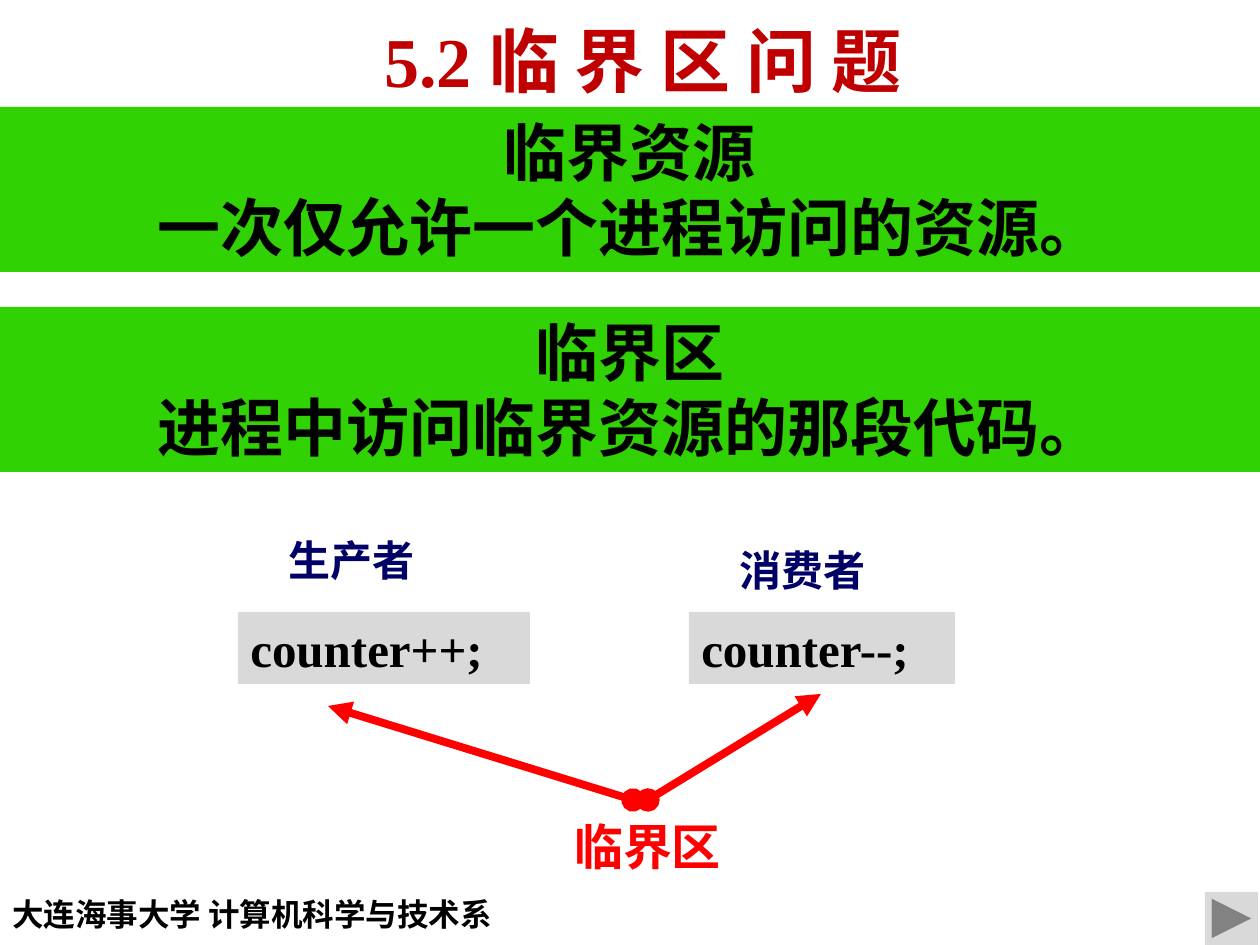
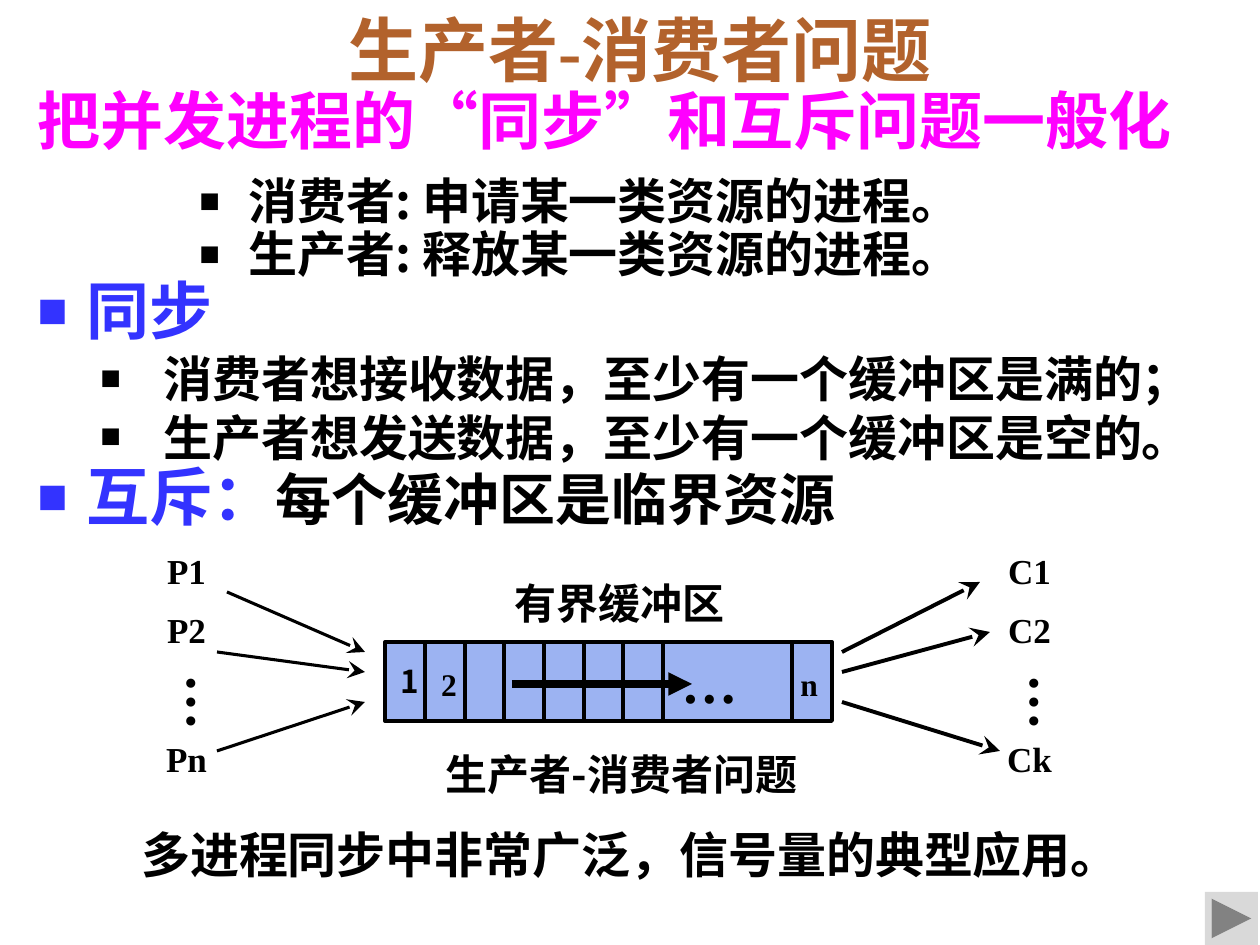
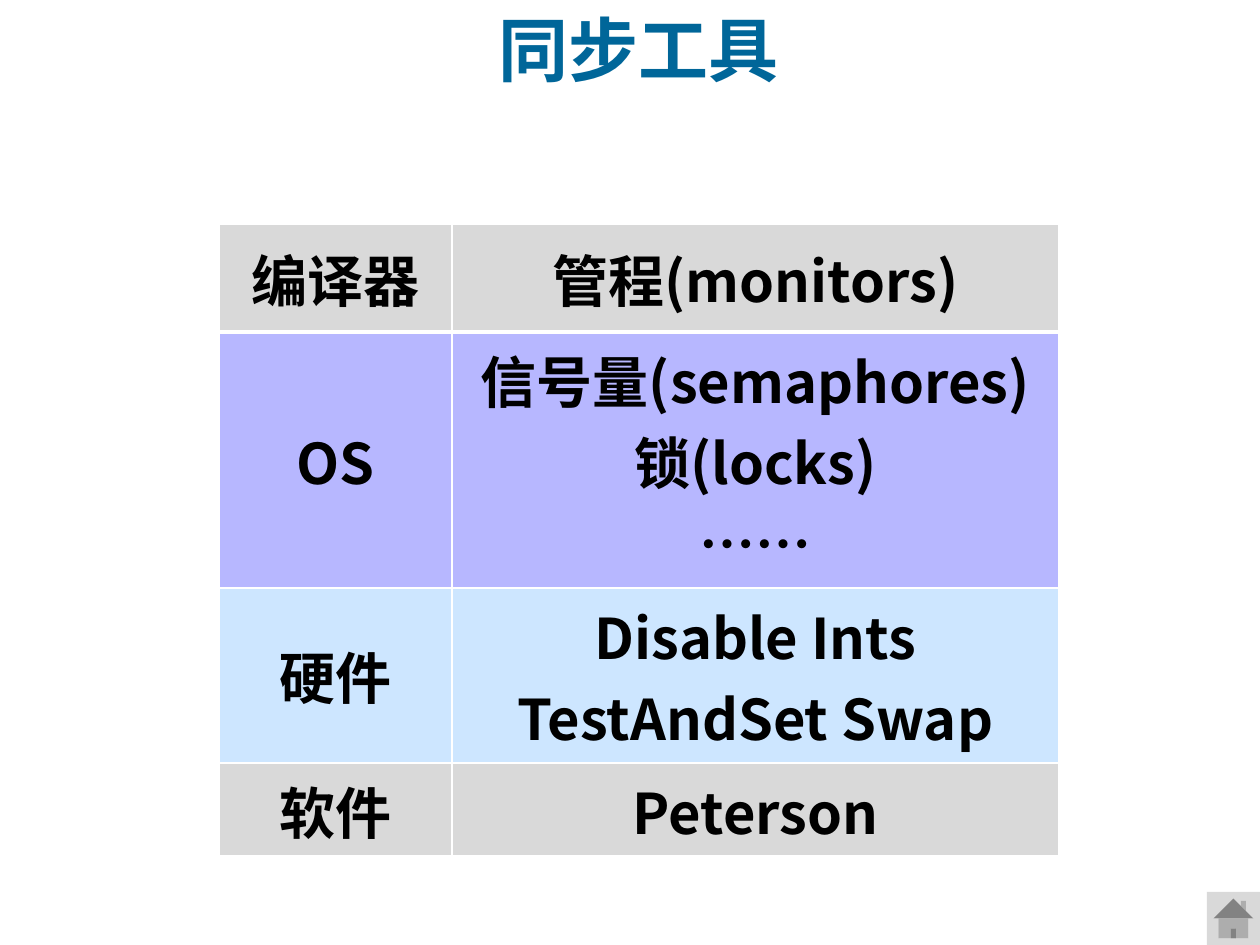
import pptx
import pptx.util
import pptx.dml.color
import pptx.enum.dml
import pptx.enum.lang
import pptx.enum.shapes
import pptx.enum.text
import pptx.oxml.ns
from lxml import etree

PX = 7257
COLORS = {
    "black": "000000", "white": "FFFFFF", "gray": "D9D9D9", "green": "30D204",
    "crimson": "C00000", "red": "FF0000", "navy": "000066", "brown": "B2622C",
    "magenta": "FF00FF", "blue": "3333FF", "buffer": "9CB3F2", "teal": "006699",
    "lavender": "B7B7FF", "sky": "CDE6FF",
}
RGB = {name: pptx.dml.color.RGBColor.from_string(code) for name, code in COLORS.items()}
SERIF, SANS, BASE = "Times New Roman", "Noto Sans CJK SC", "Cabin"
SHAPE = pptx.enum.shapes.MSO_SHAPE
LEFT, CENTER = pptx.enum.text.PP_ALIGN.LEFT, pptx.enum.text.PP_ALIGN.CENTER
MIDDLE = pptx.enum.text.MSO_ANCHOR.MIDDLE
CHINESE = pptx.enum.lang.MSO_LANGUAGE_ID.SIMPLIFIED_CHINESE
qn = pptx.oxml.ns.qn


def write(holder, lines, size, color="black", font=SANS, align=LEFT, asian=BASE, wrap=True):
    frame = holder.text_frame
    frame.word_wrap = wrap
    for number, line in enumerate(lines):
        para = frame.paragraphs[0] if number == 0 else frame.add_paragraph()
        para.alignment = align
        for text, points, tint in [(line, size, color)] if isinstance(line, str) else line:
            span = para.add_run()
            span.text = text
            span.font.size = pptx.util.Pt(points)
            span.font.bold = True
            span.font.name = font
            span.font.color.rgb = RGB[tint]
            span.font.language_id = CHINESE
            etree.SubElement(span._r.get_or_add_rPr(), qn("a:ea"), typeface=asian)
    return frame


def connect(page, ends, color, width, head=None, tail=None, scale="med"):
    line = page.shapes.add_connector(
        pptx.enum.shapes.MSO_CONNECTOR.STRAIGHT, *[PX * value for value in ends])
    line.line.color.rgb = RGB[color]
    line.line.width = pptx.util.Pt(width)
    for tag, kind in (("a:headEnd", head), ("a:tailEnd", tail)):
        if kind:
            etree.SubElement(
                line.line._get_or_add_ln(), qn(tag), type=kind, w=scale, len=scale)
    etree.SubElement(line._element.spPr, qn("a:effectLst"))


deck = pptx.Presentation()
deck.slide_width = 1260 * PX
deck.slide_height = 945 * PX
section, problem, tools = [deck.slides.add_slide(deck.slide_layouts[6]) for _ in range(3)]

titles = [
    (section, (372, 11, 605, 106), "5.2 临 界 区 问 题", "crimson", LEFT),
    (problem, (245, 0, 790, 113), "生产者-消费者问题", "brown", CENTER),
    (tools, (484, 0, 309, 97), "同步工具", "teal", CENTER),
]
for page, area, text, color, align in titles:
    box = page.shapes.add_textbox(*[PX * value for value in area])
    write(box, [text], 40, color, SERIF, align)

next_button = SHAPE.ACTION_BUTTON_FORWARD_OR_NEXT
blocks = [
    (section, next_button, (1205, 892, 53, 53), "gray", []),
    (problem, next_button, (1205, 892, 53, 53), "gray", []),
    (tools, SHAPE.ACTION_BUTTON_HOME, (1207, 892, 53, 53), "gray", []),
    (section, SHAPE.RECTANGLE, (0, 107, 1260, 165), "green",
     ["临界资源", "一次仅允许一个进程访问的资源。"]),
    (section, SHAPE.RECTANGLE, (0, 307, 1260, 165), "green",
     ["临界区", "进程中访问临界资源的那段代码。"]),
    (section, SHAPE.RECTANGLE, (238, 612, 292, 72), "gray", ["counter++;"]),
    (section, SHAPE.RECTANGLE, (689, 612, 266, 72), "gray", ["counter--;"]),
]
for page, kind, area, color, lines in blocks:
    block = page.shapes.add_shape(kind, *[PX * value for value in area])
    block.shadow.inherit = False
    block.fill.solid()
    block.fill.fore_color.rgb = RGB[color]
    block.line.fill.background()
    if color == "green":
        write(block, lines, 36, align=CENTER)
    elif lines:
        write(block, lines, 28, font=SERIF)
    block.text_frame.vertical_anchor = pptx.enum.text.MSO_ANCHOR.TOP

section_labels = [
    ((276, 528, 163, 63), "生产者", 24, "navy", LEFT),
    ((727, 538, 179, 63), "消费者", 24, "navy", LEFT),
    ((531, 810, 233, 72), "临界区", 28, "red", CENTER),
]
for area, text, size, color, align in section_labels:
    box = section.shapes.add_textbox(*[PX * value for value in area])
    write(box, [text], size, color, align=align)
for ends in ((633, 800, 328, 706), (648, 800, 821, 694)):
    connect(section, ends, "red", 4.5, "oval", "triangle")
footer = section.shapes.add_textbox(0, 882 * PX, 520 * PX, 63 * PX)
write(footer, ["大连海事大学 计算机科学与技术系"], 18).vertical_anchor = MIDDLE

summary = problem.shapes.add_textbox(25 * PX, 86 * PX, 1191 * PX, 82 * PX)
frame = write(summary, ["把并发进程的“同步”和互斥问题一般化"], 36, "magenta", asian=SANS)
frame.paragraphs[0].line_spacing = 0.86

roles = problem.shapes.add_textbox(124 * PX, 171 * PX, 1191 * PX, 120 * PX)
role_frame = write(roles, ["消费者: 申请某一类资源的进程。", "生产者: 释放某一类资源的进程。"], 28)
rules = problem.shapes.add_textbox(25 * PX, 274 * PX, 1191 * PX, 268 * PX)
rule_frame = write(rules, [
    [("同步", 36, "blue")],
    "消费者想接收数据，至少有一个缓冲区是满的；",
    "生产者想发送数据，至少有一个缓冲区是空的。",
    [("互斥：", 36, "blue"), ("每个缓冲区是临界资源", 32, "black")],
], 28, font=SERIF)
role_bullet = (112, 49, 70, "black", 0.9)
topic_bullet = (49, 49, 80, "blue", 0.9)
detail_bullet = (126, 63, 70, "black", 1.0)
bullets = [role_bullet] * 2 + [topic_bullet, detail_bullet, detail_bullet, topic_bullet]
for para, bullet in zip(role_frame.paragraphs + rule_frame.paragraphs, bullets):
    margin, hang, percent, color, spacing = bullet
    layout = para._p.get_or_add_pPr()
    layout.set("marL", str(margin * PX))
    layout.set("indent", str(-hang * PX))
    tint = etree.SubElement(layout, qn("a:buClr"))
    etree.SubElement(tint, qn("a:srgbClr"), val=COLORS[color])
    etree.SubElement(layout, qn("a:buSzPct"), val=str(percent * 1000))
    etree.SubElement(layout, qn("a:buFont"), typeface=SERIF)
    etree.SubElement(layout, qn("a:buChar"), char="■")
    para.line_spacing = spacing

buffer = problem.shapes.add_shape(
    SHAPE.RECTANGLE, 385 * PX, 642 * PX, 447 * PX, 79 * PX)
buffer.shadow.inherit = False
buffer.fill.solid()
buffer.fill.fore_color.rgb = RGB["buffer"]
buffer.line.color.rgb = RGB["black"]
buffer.line.width = pptx.util.Pt(2.25)
frame = write(buffer, ["…"], 32, font=SERIF, align=CENTER, asian=SERIF)
frame.vertical_anchor = MIDDLE
frame.margin_left, frame.margin_right = 202 * PX, 0
for x in [425 + round(39.7 * slot) for slot in range(7)] + [792]:
    connect(problem, (x, 642, x, 721), "black", 2.25)
connect(problem, (512, 684, 692, 684), "black", 4.5, tail="triangle")

problem_labels = [
    ((57, 818, 1147, 72), "多进程同步中非常广泛，信号量的典型应用。", 28, SERIF),
    ((411, 742, 421, 63), "生产者-消费者问题", 24, SANS),
    ((451, 571, 338, 63), "有界缓冲区", 24, SANS),
    ((388, 656, 30, 50), "1", 18, SANS),
    ((428, 659, 42, 50), "2", 18, SERIF),
    ((788, 659, 42, 50), "n", 18, SERIF),
]
for x, names in ((147, ("P1", "P2", "Pn")), (990, ("C1", "C2", "Ck"))):
    for y, name in zip((543, 602, 731), names):
        problem_labels.append(((x, y, 79, 54), name, 20, SERIF))
    dots = problem.shapes.add_textbox((x + 10) * PX, 662 * PX, 93 * PX, 110 * PX)
    frame = write(dots, ["…"], 32, font=SERIF, asian=SERIF)
    frame._txBody.bodyPr.set("vert", "eaVert")
for area, text, size, font in problem_labels:
    box = problem.shapes.add_textbox(*[PX * value for value in area])
    write(box, [text], size, font=font, align=CENTER, wrap=size != 18)

producer_ends = [(227, 592, 365, 652), (217, 652, 365, 672), (217, 751, 365, 702)]
consumer_ends = [(842, 652, 980, 582), (842, 672, 990, 632), (842, 702, 1000, 751)]
for width, group in ((1.75, producer_ends), (2.25, consumer_ends)):
    for ends in group:
        connect(problem, ends, "black", width, tail="stealth", scale="lg")

levels = [
    (108, "gray", "编译器", ["管程(monitors)"]),
    (256, "lavender", "OS", ["信号量(semaphores)", "锁(locks)", "……"]),
    (175, "sky", "硬件", ["Disable Ints TestAndSet Swap"]),
    (93, "gray", "软件", ["Peterson"]),
]
table = tools.shapes.add_table(
    len(levels), 2, 219 * PX, 224 * PX, 840 * PX, 632 * PX).table
for column, width in zip(table.columns, (233, 607)):
    column.width = width * PX
for row, (height, color, level, mechanisms) in enumerate(levels):
    table.rows[row].height = height * PX
    for column, lines in enumerate(([level], mechanisms)):
        cell = table.cell(row, column)
        write(cell, lines, 32, align=CENTER, asian=SANS)
        cell.vertical_anchor = MIDDLE
        cell.fill.solid()
        cell.fill.fore_color.rgb = RGB[color]
        for place, side in enumerate(("L", "R", "T", "B")):
            thick = (row, side) in ((0, "B"), (1, "T"))
            border = etree.Element(qn("a:ln" + side), w=str(pptx.util.Pt(3 if thick else 1)))
            paint = etree.SubElement(border, qn("a:solidFill"))
            etree.SubElement(paint, qn("a:srgbClr"), val=COLORS["white"])
            cell._tc.get_or_add_tcPr().insert(place, border)

deck.save("out.pptx")
